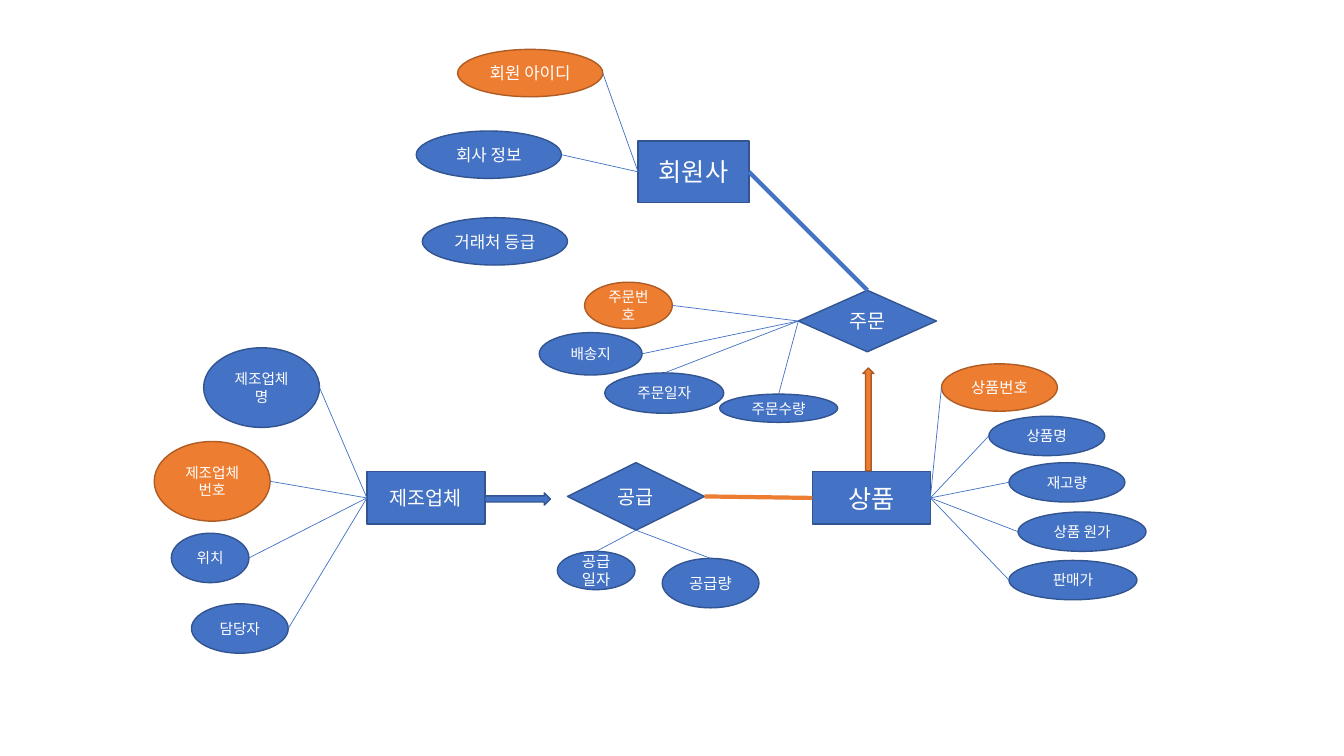
from lxml import etree
from pptx import Presentation
from pptx import util as u
from pptx.dml.color import RGBColor
from pptx.enum import shapes, text
from pptx.oxml.ns import qn

PX = 9144
BLUE, ORANGE = "4472C4", "ED7D31"
OUTLINES = {BLUE: "325491", ORANGE: "AF5C24"}
KIND = shapes.MSO_SHAPE
TOP, LEFT, BOTTOM, RIGHT = range(4)

MEMBER_ATTRIBUTES = [
    ("회원 아이디", (454, 49, 144, 47), 12, ORANGE, RIGHT),
    ("회사 정보", (413, 130, 144, 47), 12, BLUE, RIGHT),
    ("거래처 등급", (419, 216, 144, 47), 12, BLUE, None),
]
ORDER_ATTRIBUTES = [
    ("배송지", (535, 330, 102, 42), 10.5, BLUE, RIGHT),
    ("주문일자", (600, 370, 118, 40), 10.5, BLUE, TOP),
    ("주문번호", (580, 280, 87, 46), 10.5, ORANGE, RIGHT),
    ("주문수량", (714, 391, 117, 28), 10.5, BLUE, TOP),
]
MAKER_ATTRIBUTES = [
    ("제조업체 명", (202, 345, 115, 79), 10.5, BLUE, RIGHT),
    ("제조업체 번호", (153, 438, 115, 79), 10.5, ORANGE, RIGHT),
    ("위치", (170, 529, 77, 49), 10.5, BLUE, RIGHT),
    ("담당자", (190, 599, 96, 49), 10.5, BLUE, RIGHT),
]
PRODUCT_ATTRIBUTES = [
    ("상품번호", (934, 361, 115, 47), 11, ORANGE, LEFT),
    ("상품명", (981, 413, 115, 39), 10.5, BLUE, LEFT),
    ("재고량", (1001, 459, 115, 39), 10.5, BLUE, LEFT),
    ("상품 원가", (1010, 508, 127, 39), 10.5, BLUE, LEFT),
    ("판매가", (1001, 556, 127, 39), 10.5, BLUE, LEFT),
]
SUPPLY_ATTRIBUTES = [
    ("공급일자", (553, 547, 77, 38), 11, BLUE, TOP),
    ("공급량", (657, 554, 96, 49), 11, BLUE, TOP),
]


def color(value):
    """Turn a hex string into a colour."""
    return RGBColor.from_string(value)


def add_box(page, kind, place, fill=BLUE):
    """Add a filled and outlined preset shape."""
    box = page.shapes.add_shape(kind, *(n * PX for n in place))
    box.shadow.inherit = False
    box.fill.solid()
    box.fill.fore_color.rgb = color(fill)
    box.line.color.rgb = color(OUTLINES[fill])
    box.line.width = u.Pt(1)
    return box


def add_label(page, kind, label, place, size, fill=BLUE):
    """Add a shape with centred white text."""
    box = add_box(page, kind, place, fill)
    box.text_frame.word_wrap = True
    box.text_frame.vertical_anchor = text.MSO_ANCHOR.MIDDLE
    para = box.text_frame.paragraphs[0]
    para.alignment = text.PP_ALIGN.CENTER
    span = para.add_run()
    span.text = label
    span.font.size = u.Pt(size)
    span.font.name = "Calibri"
    span.font.color.rgb = color("FFFFFF")
    return box


def side_point(box, side):
    """Return the middle of one side of a shape."""
    x = {LEFT: box.left, RIGHT: box.left + box.width}
    y = {TOP: box.top, BOTTOM: box.top + box.height}
    return (x.get(side, box.left + box.width // 2),
            y.get(side, box.top + box.height // 2))


def add_link(page, start, start_side, end, end_side, stroke=BLUE, width=0.5):
    """Draw a straight line that ends joined to a shape."""
    link = page.shapes.add_connector(
        shapes.MSO_CONNECTOR.STRAIGHT,
        *side_point(start, start_side), *side_point(end, end_side))
    link.end_connect(end, end_side)
    link.line.color.rgb = color(stroke)
    link.line.width = u.Pt(width)
    etree.SubElement(link._element.spPr, qn("a:effectLst"))
    return link


def add_relation(page, start, start_side, end, end_side, stroke):
    """Join an entity and a relationship with a thick line."""
    link = add_link(page, start, start_side, end, end_side, stroke, 3)
    link.begin_connect(start, start_side)


def add_attributes(page, owner, owner_side, attributes):
    """Add the attribute ellipses of an owner and their lines."""
    for label, place, size, fill, side in attributes:
        oval = add_label(page, KIND.OVAL, label, place, size, fill)
        if side is not None:
            add_link(page, oval, side, owner, owner_side)


def main():
    """Build the entity-relationship diagram."""
    deck = Presentation()
    deck.slide_width, deck.slide_height = u.Emu(12192000), u.Emu(6858000)
    page = deck.slides.add_slide(deck.slide_layouts[6])

    entity, relation = KIND.FLOWCHART_PROCESS, KIND.FLOWCHART_DECISION
    supply = add_label(page, relation, "공급", (563, 459, 136, 67), 14)
    maker = add_label(page, entity, "제조업체", (364, 468, 117, 52), 14)
    product = add_label(page, entity, "상품", (806, 468, 117, 52), 18)
    order = add_label(page, relation, "주문", (792, 288, 137, 61), 14)
    member = add_label(page, entity, "회원사", (633, 140, 110, 61), 18)

    add_attributes(page, supply, BOTTOM, SUPPLY_ATTRIBUTES)
    add_attributes(page, maker, LEFT, MAKER_ATTRIBUTES)
    add_attributes(page, product, RIGHT, PRODUCT_ATTRIBUTES)
    add_attributes(page, order, LEFT, ORDER_ATTRIBUTES)
    add_attributes(page, member, LEFT, MEMBER_ATTRIBUTES)

    add_box(page, KIND.RIGHT_ARROW, (481, 489, 65, 12))
    add_box(page, KIND.UP_ARROW, (856, 365, 11, 102), ORANGE)
    add_relation(page, supply, RIGHT, product, LEFT, ORANGE)
    add_relation(page, member, RIGHT, order, TOP, BLUE)

    deck.save("out.pptx")


if __name__ == "__main__":
    main()
